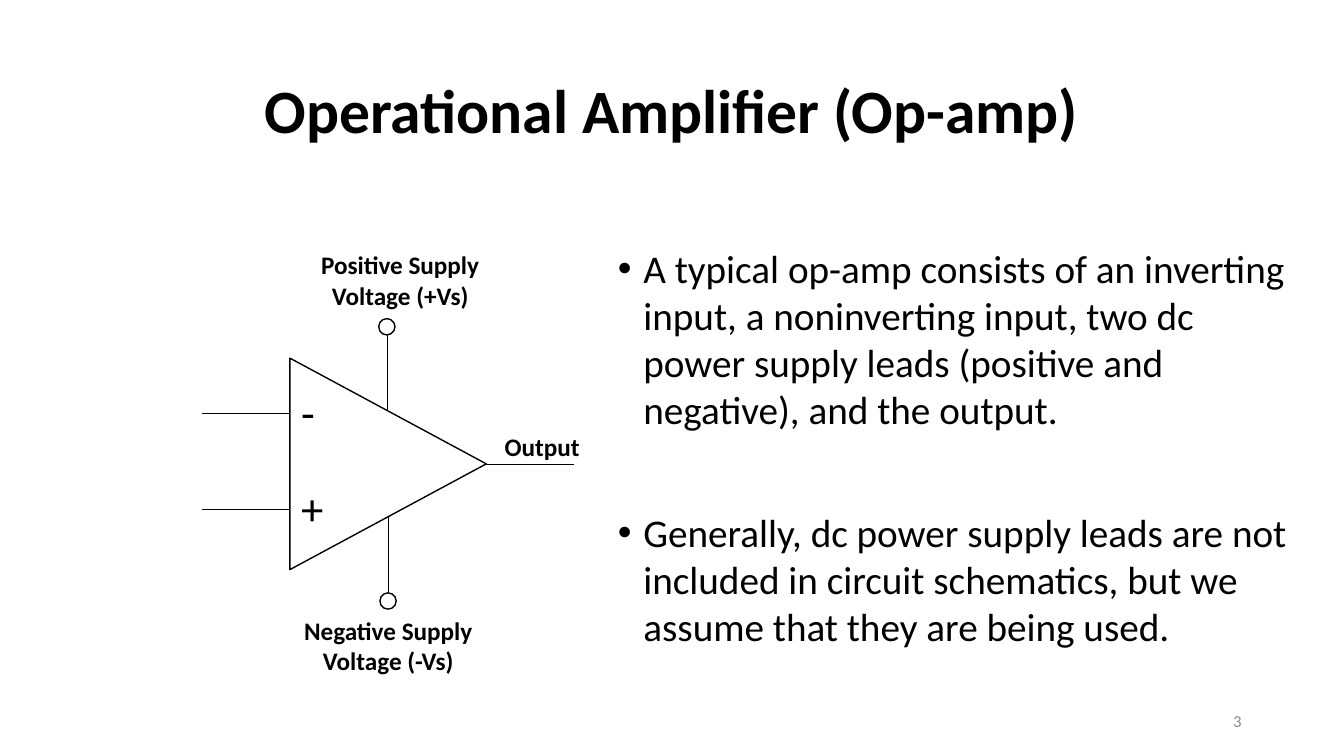
from lxml import etree
from pptx import Presentation
from pptx.dml.color import RGBColor
from pptx.enum.shapes import MSO_CONNECTOR, MSO_SHAPE
from pptx.enum.text import MSO_ANCHOR, MSO_AUTO_SIZE, PP_ALIGN
from pptx.oxml.ns import qn
from pptx.util import Cm, Pt

BLACK = RGBColor(0x00, 0x00, 0x00)
WHITE = RGBColor(0xFF, 0xFF, 0xFF)
GRAY = RGBColor(0x8C, 0x8C, 0x8C)
FONT_NAME = "Calibri"
LEFT, CENTER, RIGHT = PP_ALIGN.LEFT, PP_ALIGN.CENTER, PP_ALIGN.RIGHT
TOP, MIDDLE = MSO_ANCHOR.TOP, MSO_ANCHOR.MIDDLE
NO_AUTOFIT = MSO_AUTO_SIZE.NONE
STRAIGHT = MSO_CONNECTOR.STRAIGHT
TRIANGLE, CIRCLE = MSO_SHAPE.ISOSCELES_TRIANGLE, MSO_SHAPE.OVAL

BULLETS = (
    "A typical op-amp consists of an inverting input, a noninverting input, "
    "two dc power supply leads (positive and negative), and the output.",
    "Generally, dc power supply leads are not included in circuit schematics, "
    "but we assume that they are being used.",
)


def format_font(paragraph, size, color=BLACK, bold=False):
    for run in paragraph.runs:
        run.font.name = FONT_NAME
        run.font.size = Pt(size)
        run.font.bold = bold
        run.font.color.rgb = color


def place(shape, left, top, width, height):
    shape.left, shape.top = Cm(left), Cm(top)
    shape.width, shape.height = Cm(width), Cm(height)


def add_label(slide, text, left, top, width, height, size,
              alignment=CENTER, bold=False, color=BLACK, anchor=TOP):
    box = slide.shapes.add_textbox(Cm(left), Cm(top), Cm(width), Cm(height))
    text_frame = box.text_frame
    text_frame.word_wrap = True
    text_frame.vertical_anchor = anchor
    text_frame.text = text
    paragraph = text_frame.paragraphs[0]
    paragraph.alignment = alignment
    format_font(paragraph, size, color, bold)


def add_outline(slide, preset, left, top, width, height):
    shape = slide.shapes.add_shape(preset, Cm(left), Cm(top), Cm(width), Cm(height))
    shape.shadow.inherit = False
    shape.fill.solid()
    shape.fill.fore_color.rgb = WHITE
    shape.line.color.rgb = BLACK
    shape.line.width = Pt(1)
    return shape


def add_lead(slide, start_x, start_y, end_x, end_y):
    lead = slide.shapes.add_connector(
        STRAIGHT, Cm(start_x), Cm(start_y), Cm(end_x), Cm(end_y))
    lead.line.color.rgb = BLACK
    lead.line.width = Pt(0.5)
    etree.SubElement(lead._element.spPr, qn("a:effectLst"))


def add_title(slide, left, top, width, height):
    title = slide.shapes.title
    place(title, left, top, width, height)
    text_frame = title.text_frame
    text_frame.text = "Operational Amplifier (Op-amp)"
    text_frame.vertical_anchor = MIDDLE
    text_frame.auto_size = NO_AUTOFIT
    paragraph = text_frame.paragraphs[0]
    paragraph.alignment = CENTER
    paragraph.line_spacing = 0.9
    format_font(paragraph, 44, bold=True)


def add_bullets(slide, left, top, width, height):
    body = slide.placeholders[1]
    place(body, left, top, width, height)
    text_frame = body.text_frame
    text_frame.text = "\n".join(BULLETS)
    text_frame.vertical_anchor = MIDDLE
    text_frame.auto_size = NO_AUTOFIT
    for index, paragraph in enumerate(text_frame.paragraphs):
        properties = paragraph._p.get_or_add_pPr()
        properties.set("marL", str(Cm(0.64)))
        properties.set("indent", str(-Cm(0.64)))
        paragraph.space_before = Pt(54 * index)
        format_font(paragraph, 28)


def add_amplifier(slide, left, top):
    base, height = 5.33, 4.95
    lead_length = 2.2
    center_x, center_y = left + 4.68, top + 5.52
    triangle = add_outline(slide, TRIANGLE, center_x - base / 2,
                           center_y - height / 2, base, height)
    triangle.rotation = 90

    for sign, offset in (("-", 4.24), ("+", 6.66)):
        add_lead(slide, left, top + offset, left + lead_length, top + offset)
        add_label(slide, sign, left + 2.24, top + offset - 0.84, 0.94, 1.63, 32, LEFT)

    apex = center_x + height / 2
    add_lead(slide, apex, center_y, apex + lead_length, center_y)
    add_label(slide, "Output", left + 5.82, top + 4.57, 5.49, 1.02, 18, bold=True)

    diameter = 0.41
    supplies = (
        ("Positive Supply Voltage (+Vs)", 4.65, 4.17, 2.24, 1.86, 2.24, 0),
        ("Negative Supply Voltage (-Vs)", 4.68, 6.86, 8.79, 8.77, 1.94, 9.2),
    )
    for text, lead_x, inner, outer, circle_top, label_left, label_top in supplies:
        lead_x += left
        add_lead(slide, lead_x, top + inner, lead_x, top + outer)
        add_outline(slide, CIRCLE, lead_x - diameter / 2, top + circle_top,
                    diameter, diameter)
        add_label(slide, text, left + label_left, top + label_top,
                  5.49, 1.8, 18, bold=True)


def main():
    presentation = Presentation()
    presentation.slide_width = Cm(33.87)
    presentation.slide_height = Cm(19.05)
    slide = presentation.slides.add_slide(presentation.slide_layouts[1])
    add_title(slide, 2.33, 1.01, 29.21, 3.68)
    add_bullets(slide, 15.32, 5.21, 17.35, 12.09)
    add_label(slide, "3", 23.92, 17.66, 7.62, 1.01, 12, RIGHT,
              color=GRAY, anchor=MIDDLE)
    add_amplifier(slide, 5.1, 6.17)
    presentation.save("out.pptx")


if __name__ == "__main__":
    main()
